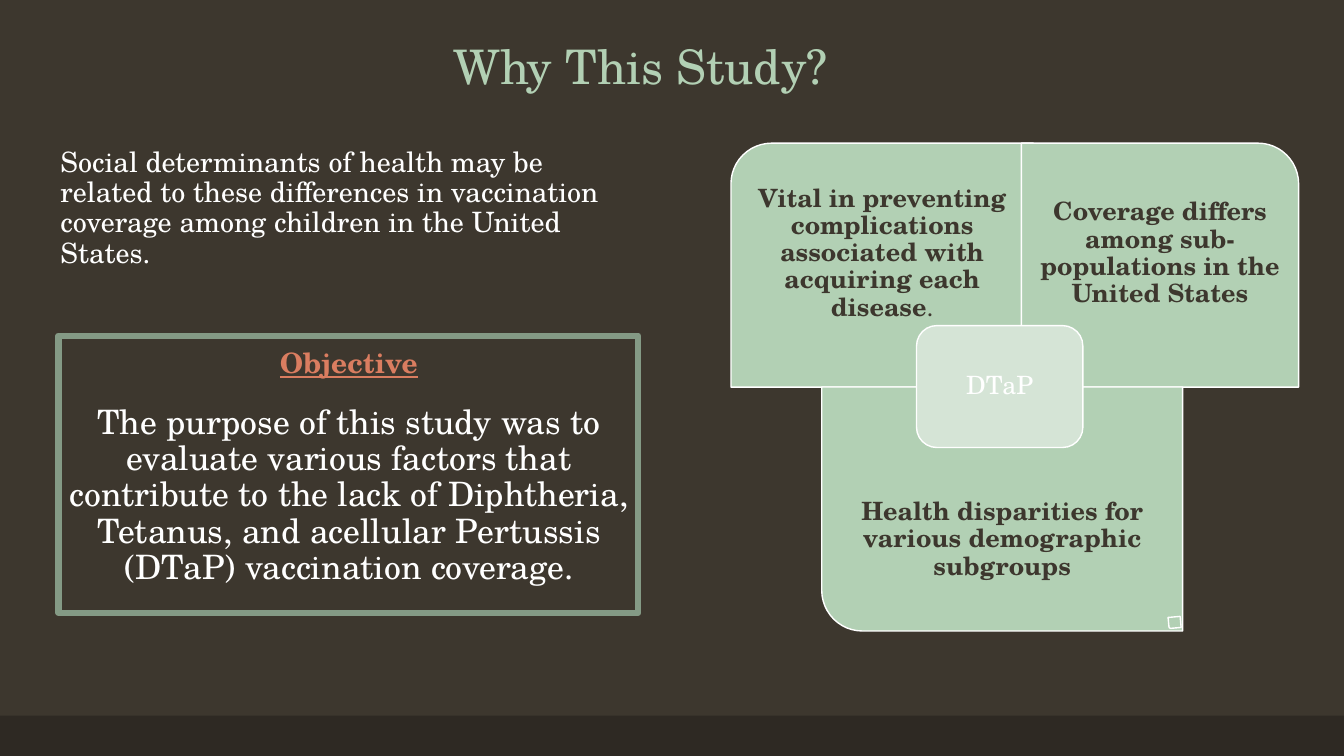
"""Build the "Why This Study?" slide."""
from dataclasses import dataclass

from pptx import Presentation
from pptx.dml.color import RGBColor
from pptx.enum.shapes import MSO_SHAPE
from pptx.enum.text import MSO_ANCHOR, MSO_AUTO_SIZE, PP_ALIGN
from pptx.util import Inches, Pt

LEFT, CENTER = PP_ALIGN.LEFT, PP_ALIGN.CENTER
TOP, MIDDLE, BOTTOM = MSO_ANCHOR.TOP, MSO_ANCHOR.MIDDLE, MSO_ANCHOR.BOTTOM
NO_AUTO_SIZE = MSO_AUTO_SIZE.NONE
RECTANGLE = MSO_SHAPE.RECTANGLE
ROUNDED = MSO_SHAPE.ROUNDED_RECTANGLE
ONE_ROUND_CORNER = MSO_SHAPE.ROUND_1_RECTANGLE


@dataclass(frozen=True)
class Theme:
    """Colours, font and type sizes of the slide."""
    font: str = "TeX Gyre Schola"
    background: str = "3D372E"
    footer: str = "2E2923"
    mint: str = "B2D0B4"
    pale: str = "D5E4D6"
    frame: str = "849A85"
    accent: str = "DA7D60"
    white: str = "FFFFFF"
    title_size: int = 34
    body_size: int = 20
    purpose_size: int = 24
    panel_size: int = 18


THEME = Theme()

TITLE = "Why This Study?"
INTRO = ("Social determinants of health may be related to these differences in "
         "vaccination coverage among children in the United States.")
OBJECTIVE = "Objective"
PURPOSE = ("The purpose of this study was to evaluate various factors that contribute "
           "to the lack of Diphtheria, Tetanus, and acellular Pertussis (DTaP) "
           "vaccination coverage.")
HUB = "DTaP"
REASONS = [
    {"text": "Vital in preventing complications associated with acquiring each disease",
     "ending": ".", "box": (7.25, 1.42, 3, 2.42), "rotation": 270},
    {"text": "Coverage differs among sub- populations in the United States",
     "box": (10.13, 1.42, 2.75, 2.42), "rotation": 0},
    {"text": "Health disparities for various demographic subgroups",
     "box": (8.15, 3.84, 3.58, 2.42), "rotation": 180},
]
LABEL_HEIGHT = 1.81
PADDING = 0.14
UPPER_INSETS = (PADDING, 0.38, PADDING, 0)
LOWER_INSETS = (PADDING,) * 4


def place(shape, left, top, width, height):
    """Move and size a shape, in inches."""
    shape.left, shape.top = Inches(left), Inches(top)
    shape.width, shape.height = Inches(width), Inches(height)


def prepare_frame(shape, anchor, insets=(0.1, 0.05, 0.1, 0.05)):
    """Set wrapping, anchor and insets, and return the text frame."""
    frame = shape.text_frame
    frame.word_wrap = True
    frame.auto_size = NO_AUTO_SIZE
    frame.vertical_anchor = anchor
    frame.margin_left, frame.margin_top, frame.margin_right, frame.margin_bottom = map(Inches, insets)
    return frame


def write(paragraph, text, size, color=THEME.white, bold=False, underline=False,
          align=CENTER, before=0):
    """Add a formatted run to a paragraph."""
    paragraph.alignment = align
    paragraph.line_spacing = 0.9
    paragraph.space_before = Pt(before)
    run = paragraph.add_run()
    run.text = text
    font = run.font
    font.name, font.size, font.bold, font.underline = THEME.font, Pt(size), bold, underline
    font.color.rgb = RGBColor.from_string(color)


def remove_bullet(paragraph):
    """Turn off the bullet and indent of a paragraph."""
    properties = paragraph._p.get_or_add_pPr()
    properties.set("marL", "0")
    properties.set("indent", "0")
    properties.append(properties.makeelement(
        "{http://schemas.openxmlformats.org/drawingml/2006/main}buNone", {}))


def add_block(slide, kind, box, fill=None, line=None, line_width=1, rotation=0):
    """Add a flat shape with an optional fill and line."""
    shape = slide.shapes.add_shape(kind, *map(Inches, box))
    shape.shadow.inherit = False
    shape.rotation = rotation
    if fill:
        shape.fill.solid()
        shape.fill.fore_color.rgb = RGBColor.from_string(fill)
    else:
        shape.fill.background()
    if line:
        shape.line.color.rgb = RGBColor.from_string(line)
        shape.line.width = Pt(line_width)
    else:
        shape.line.fill.background()
    return shape


def add_reason(slide, reason):
    """Add one panel with its label on the side away from the hub."""
    left, top, width, height = reason["box"]
    rotation = reason["rotation"]
    panel_width, panel_height = (height, width) if rotation == 270 else (width, height)
    panel_box = (left + (width - panel_width) / 2, top + (height - panel_height) / 2,
                 panel_width, panel_height)
    add_block(slide, ONE_ROUND_CORNER, panel_box, THEME.mint, THEME.white, rotation=rotation)
    is_lower = rotation == 180
    label_top = top + height - LABEL_HEIGHT if is_lower else top
    label = slide.shapes.add_textbox(*map(Inches, (left, label_top, width, LABEL_HEIGHT)))
    frame = prepare_frame(label, MIDDLE, LOWER_INSETS if is_lower else UPPER_INSETS)
    paragraph = frame.paragraphs[0]
    write(paragraph, reason["text"], THEME.panel_size, THEME.background, bold=True)
    if "ending" in reason:
        write(paragraph, reason["ending"], THEME.panel_size, THEME.background)


def main():
    """Build and save the presentation."""
    presentation = Presentation()
    presentation.slide_width, presentation.slide_height = Inches(13.33), Inches(7.5)
    slide = presentation.slides.add_slide(presentation.slide_layouts[1])
    slide.background.fill.solid()
    slide.background.fill.fore_color.rgb = RGBColor.from_string(THEME.background)
    add_block(slide, RECTANGLE, (0, 7.1, 13.33, 0.4), THEME.footer)

    title, body = slide.placeholders
    place(title, 2.38, 0.17, 8.08, 0.82)
    title_frame = prepare_frame(title, BOTTOM, (0.1, 0.05, 0.23, 0.05))
    write(title_frame.paragraphs[0], TITLE, THEME.title_size, THEME.mint)

    place(body, 0.5, 1.42, 5.92, 5.34)
    frame = prepare_frame(body, TOP)
    write(frame.paragraphs[0], INTRO, THEME.body_size, align=LEFT)
    write(frame.add_paragraph(), OBJECTIVE, THEME.body_size, THEME.accent,
          bold=True, underline=True, before=57.6)
    write(frame.add_paragraph(), PURPOSE, THEME.purpose_size, before=18)
    for paragraph in frame.paragraphs:
        remove_bullet(paragraph)

    for reason in REASONS:
        add_reason(slide, reason)
    add_block(slide, ONE_ROUND_CORNER, (11.59, 6.12, 0.12, 0.11), THEME.mint, THEME.white,
              rotation=174.8)
    hub = add_block(slide, ROUNDED, (9.09, 3.23, 1.65, 1.21), THEME.pale, THEME.white)
    write(prepare_frame(hub, MIDDLE).paragraphs[0], HUB, THEME.panel_size)
    add_block(slide, RECTANGLE, (0.58, 3.33, 5.75, 2.75), line=THEME.frame, line_width=4.5)
    presentation.save("out.pptx")


if __name__ == "__main__":
    main()
